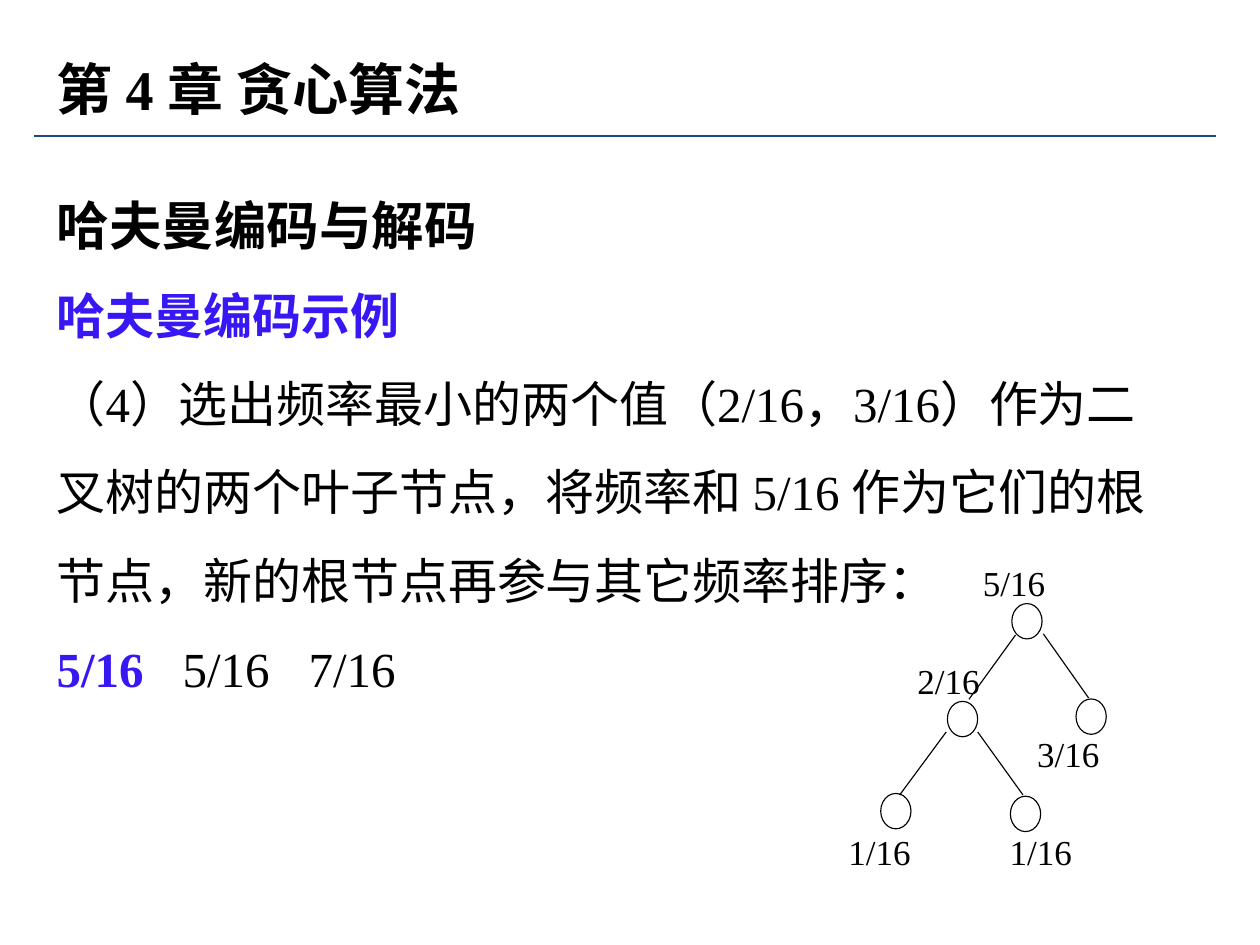
"""Build the Huffman coding example slide with its binary tree."""
from dataclasses import dataclass
from typing import Any

from lxml import etree
from pptx import Presentation
from pptx.dml.color import RGBColor
from pptx.enum import shapes, text
from pptx.oxml.ns import qn
from pptx.util import Pt

COLORS = {"ink": "000000", "accent": "3718F4", "rule": "1F497D"}
FONT = "Times New Roman"
NODE_W, NODE_H = 17.3, 20.2
LABEL_W, LABEL_H = 38, 24
TAB_STEP = 70.8


@dataclass
class Run:
    text: str
    size: float
    color: str = "ink"
    bold: bool = False


@dataclass
class Node:
    label: str
    x: float
    y: float
    label_x: float
    label_y: float


@dataclass
class Edge:
    x1: float
    y1: float
    x2: float
    y2: float


BODY = [
    [Run("哈夫曼编码与解码", 30, bold=True)],
    [Run("哈夫曼编码示例", 28, "accent", True)],
    [Run("（4）选出频率最小的两个值（2/16，3/16）作为二叉树的两个叶子节点，"
         "将频率和 5/16 作为它们的根节点，新的根节点再参与其它频率排序：", 28)],
    [Run("5/16", 28, "accent", True), Run("\t5/16\t7/16", 28)],
]
NODES = [
    Node("5/16", 578.2, 344.9, 561.6, 321.1),
    Node("2/16", 541.4, 400.8, 524.2, 376.6),
    Node("3/16", 614.9, 399.4, 592.6, 418.8),
    Node("1/16", 503.3, 453.4, 484.8, 474.5),
    Node("1/16", 577.4, 455, 576.9, 474.5),
]
EDGES = [
    Edge(553.7, 399.6, 580.3, 362.9),
    Edge(622.1, 398.9, 596.2, 362.2),
    Edge(514.1, 454.3, 540.7, 418.3),
    Edge(584.6, 454.3, 558.7, 418.3),
]


def rgb(name: str) -> RGBColor:
    """Return a palette colour."""
    return RGBColor.from_string(COLORS[name])


def add_run(p: Any, run: Run) -> None:
    """Append one formatted run to a paragraph."""
    r = p.add_run()
    r.text = run.text
    r.font.name = FONT
    r.font.size = Pt(run.size)
    r.font.bold = run.bold
    r.font.color.rgb = rgb(run.color)


def place(sp: Any, x: float, y: float, w: float, h: float) -> Any:
    """Move a placeholder and return its text frame without autofit."""
    sp.left, sp.top, sp.width, sp.height = Pt(x), Pt(y), Pt(w), Pt(h)
    tf = sp.text_frame
    tf.word_wrap = True
    tf.auto_size = text.MSO_AUTO_SIZE.NONE
    return tf


def fill_title(sp: Any) -> None:
    """Write the chapter title."""
    tf = place(sp, 25.2, 27.4, 465, 46)
    tf.vertical_anchor = text.MSO_ANCHOR.MIDDLE
    p = tf.paragraphs[0]
    p.alignment = text.PP_ALIGN.LEFT
    add_run(p, Run("第 4 章 贪心算法", 32, bold=True))


def fill_body(sp: Any) -> None:
    """Write the body paragraphs, unbulleted and with even tab stops."""
    tf = place(sp, 25.2, 88.6, 652.3, 313.2)
    tf.vertical_anchor = text.MSO_ANCHOR.TOP
    for i, runs in enumerate(BODY):
        p = tf.paragraphs[0] if i == 0 else tf.add_paragraph()
        p.line_spacing = 1.5
        p.space_before = Pt(0)
        pPr = p._p.get_or_add_pPr()
        pPr.set("marL", "0")
        pPr.set("indent", "0")
        etree.SubElement(pPr, qn("a:buNone"))
        tabs = etree.SubElement(pPr, qn("a:tabLst"))
        for n in (1, 2):
            etree.SubElement(tabs, qn("a:tab"), pos=str(Pt(n * TAB_STEP)), algn="l")
        for run in runs:
            add_run(p, run)


def add_line(parent: Any, edge: Edge, color: str, width: float) -> None:
    """Draw a straight line without a shadow."""
    ln = parent.add_connector(shapes.MSO_CONNECTOR.STRAIGHT,
                              Pt(edge.x1), Pt(edge.y1), Pt(edge.x2), Pt(edge.y2))
    ln.line.color.rgb = rgb(color)
    ln.line.width = Pt(width)
    etree.SubElement(ln._element.spPr, qn("a:effectLst"))


def add_node(parent: Any, node: Node) -> None:
    """Draw a tree node and its frequency label."""
    sp = parent.add_shape(shapes.MSO_SHAPE.OVAL, Pt(node.x), Pt(node.y),
                          Pt(NODE_W), Pt(NODE_H))
    sp.shadow.inherit = False
    sp.fill.background()
    sp.line.color.rgb = rgb("ink")
    sp.line.width = Pt(0.65)
    tf = parent.add_textbox(Pt(node.label_x), Pt(node.label_y),
                            Pt(LABEL_W), Pt(LABEL_H)).text_frame
    tf.margin_left = tf.margin_top = tf.margin_right = tf.margin_bottom = 0
    tf.word_wrap = False
    p = tf.paragraphs[0]
    p.alignment = text.PP_ALIGN.JUSTIFY
    add_run(p, Run(node.label, 20))


def main() -> None:
    """Assemble and save the slide."""
    prs = Presentation()
    prs.slide_width, prs.slide_height = Pt(720), Pt(540)
    s = prs.slides.add_slide(prs.slide_layouts[1])
    fill_title(s.shapes.title)
    fill_body(s.placeholders[1])
    add_line(s.shapes, Edge(19.4, 77.8, 694.8, 77.8), "rule", 1.5)
    tree = s.shapes.add_group_shape().shapes
    for edge in EDGES:
        add_line(tree, edge, "ink", 0.65)
    for node in NODES:
        add_node(tree, node)
    prs.save("out.pptx")


if __name__ == "__main__":
    main()
